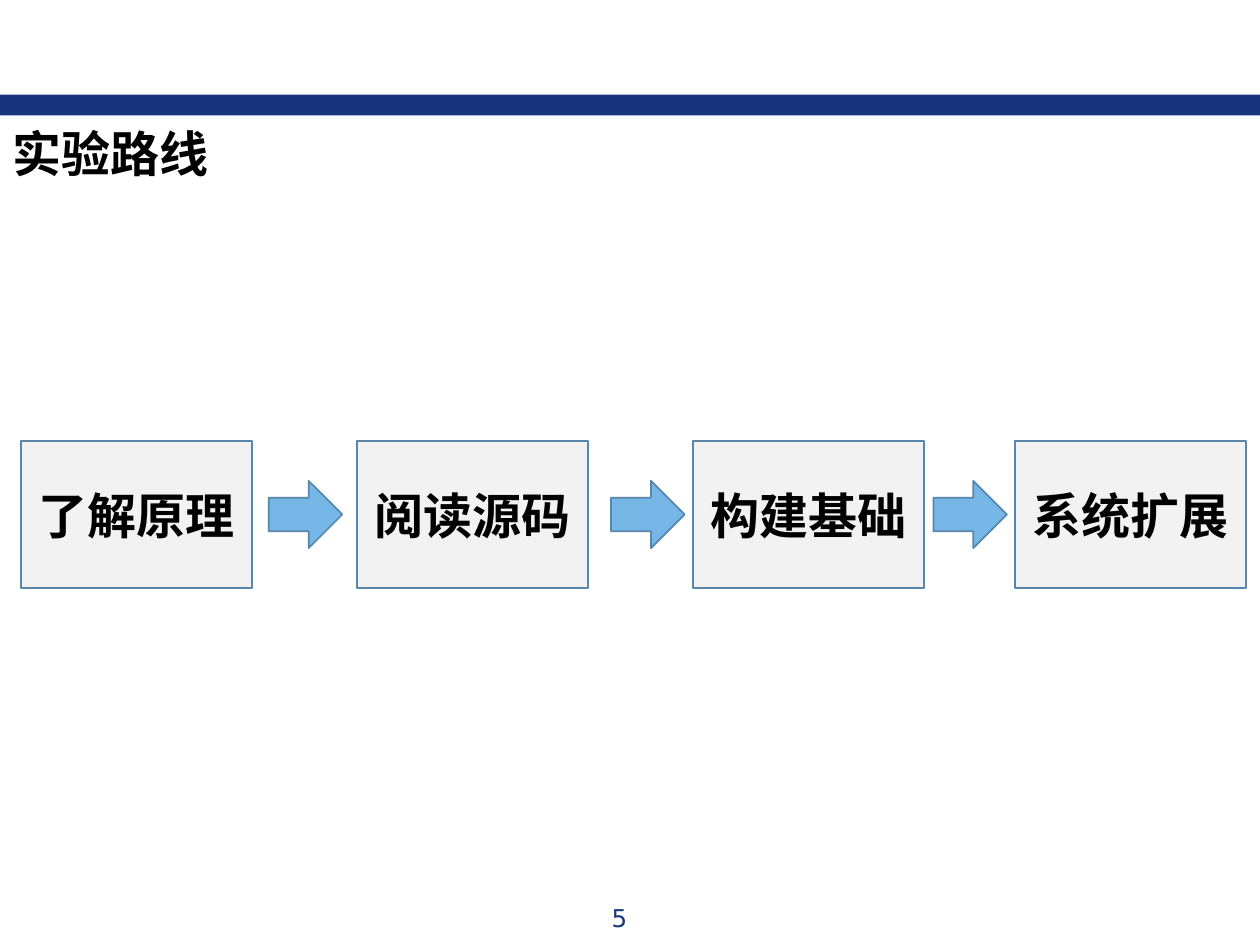
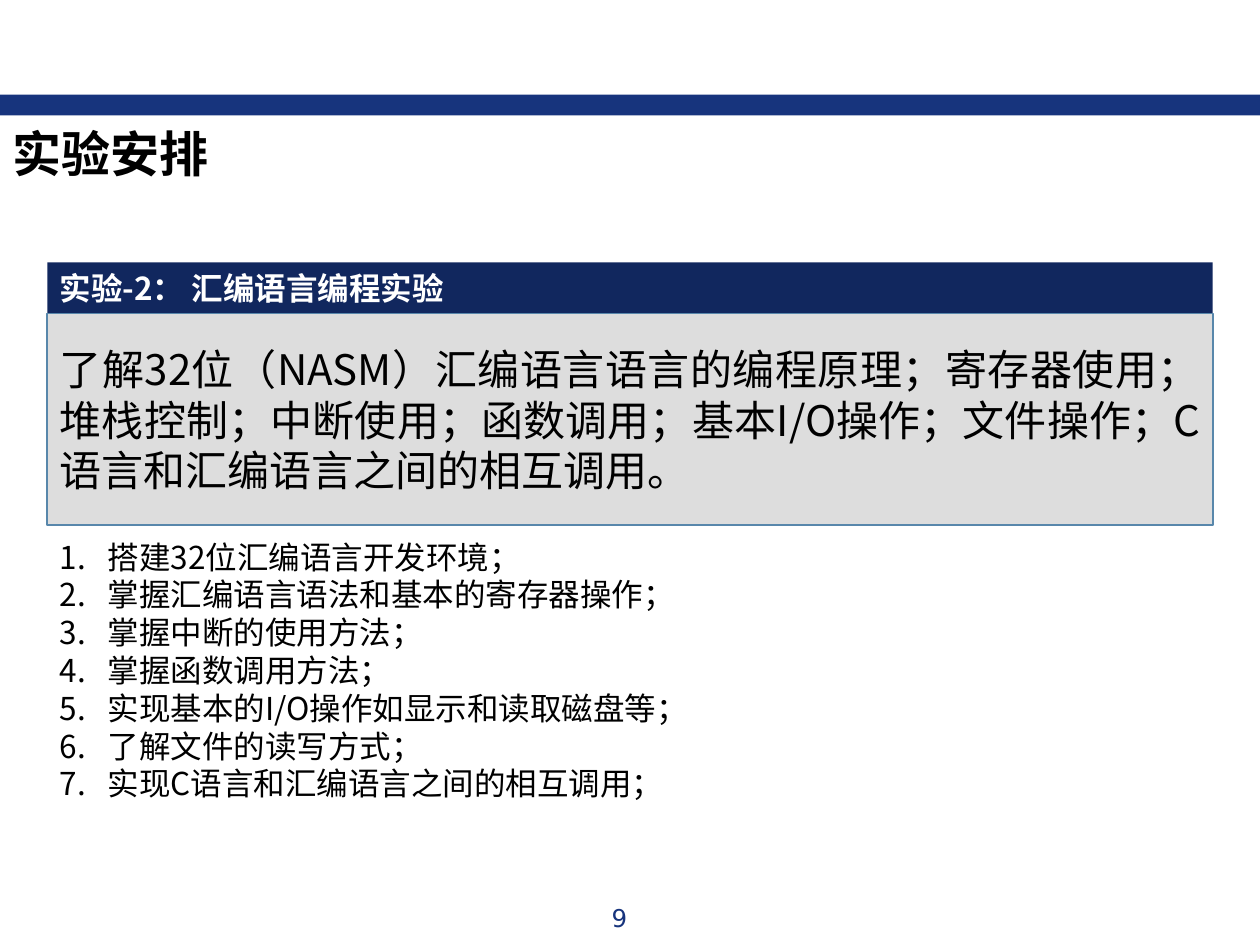
from dataclasses import dataclass
from typing import Any, NamedTuple

from lxml import etree
from pptx import Presentation
from pptx.dml.color import RGBColor
from pptx.enum.shapes import MSO_SHAPE
from pptx.enum.text import MSO_ANCHOR, MSO_AUTO_SIZE, PP_ALIGN
from pptx.oxml.ns import qn
from pptx.util import Inches, Pt

RECT, ARROW = MSO_SHAPE.RECTANGLE, MSO_SHAPE.RIGHT_ARROW
LEFT, CENTER, JUSTIFY = PP_ALIGN.LEFT, PP_ALIGN.CENTER, PP_ALIGN.JUSTIFY
TOP, MIDDLE = MSO_ANCHOR.TOP, MSO_ANCHOR.MIDDLE
NO_FIT = MSO_AUTO_SIZE.NONE

# The grid: 120 columns by 90 rows over the whole slide
COLS, ROWS = 120, 90
WIDTH, HEIGHT = Inches(10), Inches(7.5)
TITLE_ONLY, TITLE_AND_BODY = 5, 1


@dataclass(frozen=True)
class Theme:
    font: str = "Noto Sans CJK SC"
    number_font: str = "DejaVu Sans"
    band: str = "17347D"
    header: str = "11275E"
    edge: str = "5887AB"
    step: str = "F2F2F2"
    arrow: str = "77B7E7"
    summary: str = "DDDDDD"
    ink: str = "000000"
    paper: str = "FFFFFF"
    title_pt: int = 28
    summary_pt: int = 24
    list_pt: int = 18
    number_pt: int = 14


THEME = Theme()


class Cell(NamedTuple):
    """A place on the grid, in columns and rows."""
    col: float
    row: float
    cols: float
    rows: float

    def box(self) -> tuple[int, int, int, int]:
        return (round(WIDTH * self.col / COLS), round(HEIGHT * self.row / ROWS),
                round(WIDTH * self.cols / COLS), round(HEIGHT * self.rows / ROWS))


class Step(NamedTuple):
    label: str
    col: float


BAND = Cell(0, 9, COLS, 2)
TITLE = Cell(0, 11.2, 40, 6.8)
NUMBER = Cell(45, 85.4, 28, 4)

STEPS = [Step("了解原理", 2), Step("阅读源码", 34),
         Step("构建基础", 66), Step("系统扩展", 96.65)]
ARROW_COLS = [25.6, 58.2, 88.9]

HEADER = Cell(4.5, 25, 111, 4.8)
SUMMARY = Cell(4.5, 29.85, 111, 20.15)
TASKS = Cell(4.5, 50.6, 111, 26.6)
TASK_INDENT = Inches(0.38)

HEADER_TEXT = "实验-2： 汇编语言编程实验"
SUMMARY_TEXT = ("了解32位（NASM）汇编语言语言的编程原理；寄存器使用；堆栈控制；中断使用；"
                "函数调用；基本I/O操作；文件操作；C语言和汇编语言之间的相互调用。")
TASK_TEXTS = [
    "搭建32位汇编语言开发环境；",
    "掌握汇编语言语法和基本的寄存器操作；",
    "掌握中断的使用方法；",
    "掌握函数调用方法；",
    "实现基本的I/O操作如显示和读取磁盘等；",
    "了解文件的读写方式；",
    "实现C语言和汇编语言之间的相互调用；",
]


def number_paragraph(p: Any) -> None:
    """Give a paragraph a hanging automatic number."""
    pPr = p._p.get_or_add_pPr()
    pPr.set("marL", str(TASK_INDENT))
    pPr.set("indent", str(-TASK_INDENT))
    etree.SubElement(pPr, qn("a:buFont"), typeface=THEME.font)
    etree.SubElement(pPr, qn("a:buAutoNum"), type="arabicPeriod")


def write(sp: Any, *texts: str, size: int, color: str = THEME.ink,
          font: str = THEME.font, bold: bool = False, align: Any = LEFT,
          anchor: Any = TOP, numbered: bool = False) -> None:
    """Fill a shape with one paragraph per text."""
    tf = sp.text_frame
    tf.word_wrap, tf.auto_size, tf.vertical_anchor = True, NO_FIT, anchor
    for i, text in enumerate(texts):
        p = tf.paragraphs[0] if i == 0 else tf.add_paragraph()
        p.alignment, p.space_before = align, Pt(0)
        # Keep closing punctuation inside the text area
        p._p.get_or_add_pPr().set("hangingPunct", "0")
        if numbered:
            number_paragraph(p)
        r = p.add_run()
        r.text = text
        r.font.size, r.font.bold, r.font.name = Pt(size), bold, font
        r.font.color.rgb = RGBColor.from_string(color)
        etree.SubElement(r._r.get_or_add_rPr(), qn("a:ea"), typeface=font)


def place(sp: Any, cell: Cell) -> Any:
    sp.left, sp.top, sp.width, sp.height = cell.box()
    return sp


def add_block(s: Any, cell: Cell, fill: str, edge: str | None = None,
              kind: Any = RECT) -> Any:
    """Draw a flat preset shape, outlined only if an edge colour is given."""
    sp = s.shapes.add_shape(kind, *cell.box())
    sp.shadow.inherit = False
    sp.fill.solid()
    sp.fill.fore_color.rgb = RGBColor.from_string(fill)
    if edge:
        sp.line.color.rgb = RGBColor.from_string(edge)
        sp.line.width = Pt(1)
    else:
        sp.line.fill.background()
    return sp


def add_slide(prs: Any, layout: int, title: str, number: int) -> Any:
    """Start a slide with the shared band, title and page number."""
    s = prs.slides.add_slide(prs.slide_layouts[layout])
    add_block(s, BAND, THEME.band)
    write(place(s.shapes.title, TITLE), title, size=THEME.title_pt, bold=True)
    write(s.shapes.add_textbox(*NUMBER.box()), str(number), size=THEME.number_pt,
          color=THEME.band, font=THEME.number_font, align=CENTER)
    return s


def build_route(prs: Any) -> None:
    s = add_slide(prs, TITLE_ONLY, "实验路线", 5)
    for step in STEPS:
        sp = add_block(s, Cell(step.col, 42, 22, 14), THEME.step, THEME.edge)
        write(sp, step.label, size=THEME.title_pt, bold=True, align=CENTER,
              anchor=MIDDLE)
    for col in ARROW_COLS:
        add_block(s, Cell(col, 45.8, 7, 6.4), THEME.arrow, THEME.edge, ARROW)


def build_schedule(prs: Any) -> None:
    s = add_slide(prs, TITLE_AND_BODY, "实验安排", 9)
    write(add_block(s, HEADER, THEME.header), HEADER_TEXT, size=THEME.list_pt,
          color=THEME.paper, bold=True)
    write(add_block(s, SUMMARY, THEME.summary, THEME.edge), SUMMARY_TEXT,
          size=THEME.summary_pt, align=JUSTIFY, anchor=MIDDLE)
    write(place(s.placeholders[1], TASKS), *TASK_TEXTS, size=THEME.list_pt,
          numbered=True)


def main() -> None:
    prs = Presentation()
    prs.slide_width, prs.slide_height = WIDTH, HEIGHT
    build_route(prs)
    build_schedule(prs)
    prs.save("out.pptx")


if __name__ == "__main__":
    main()
